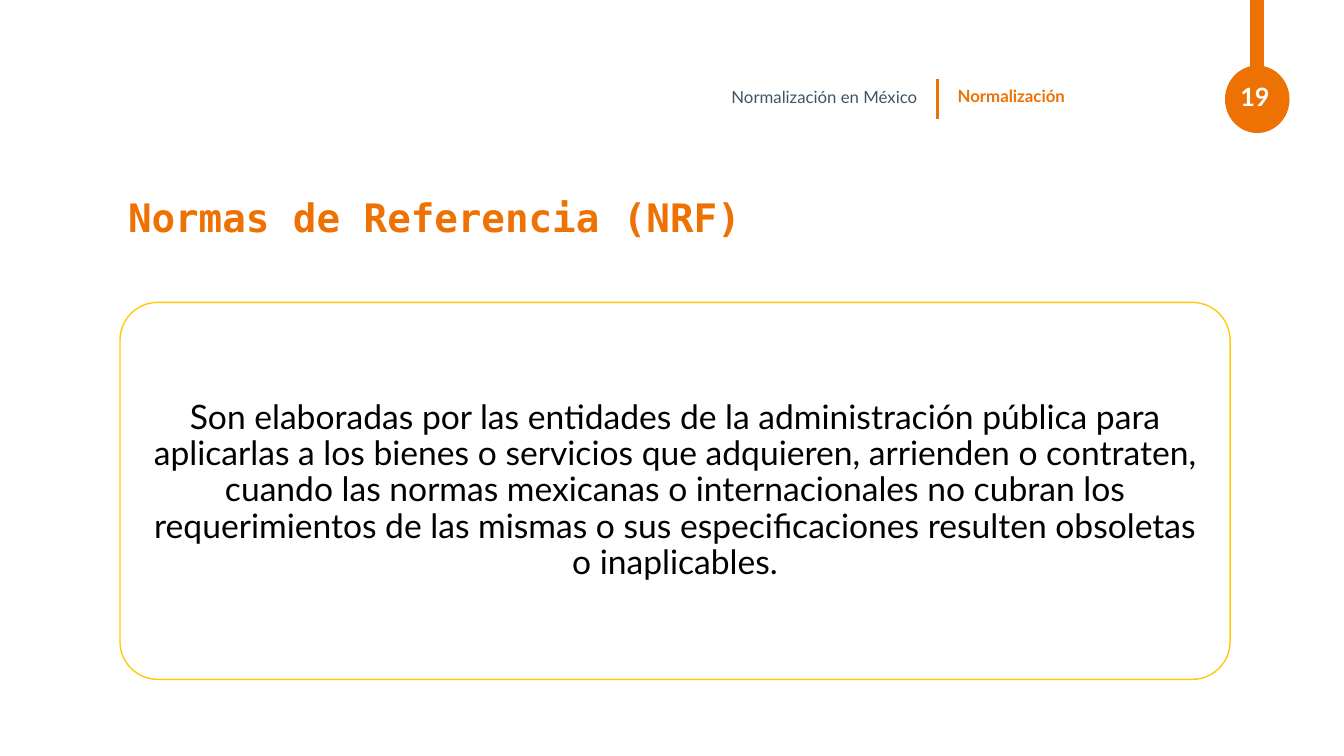
from dataclasses import dataclass

from lxml.etree import SubElement
from pptx import Presentation
from pptx.dml.color import RGBColor
from pptx.enum.shapes import MSO_CONNECTOR, MSO_SHAPE
from pptx.enum.text import MSO_ANCHOR, MSO_AUTO_SIZE, PP_ALIGN
from pptx.oxml.ns import qn
from pptx.util import Inches, Pt

TITLE = "Normas de Referencia (NRF)"
CHAPTER = "Normalización en México"
SECTION = "Normalización"
PAGE_NUMBER = "19"
DEFINITION = (
    "Son elaboradas por las entidades de la administración pública para "
    "aplicarlas a los bienes o servicios que adquieren, arrienden o contraten, "
    "cuando las normas mexicanas o internacionales no cubran los "
    "requerimientos de las mismas o sus especificaciones resulten obsoletas "
    "o inaplicables."
)


@dataclass(frozen=True)
class Theme:
    accent: str = "EE7203"
    border: str = "FFCA08"
    slate: str = "3A5868"
    black: str = "000000"
    white: str = "FFFFFF"
    heading_font: str = "DejaVu Sans Mono"
    text_font: str = "Lato"
    title_size: int = 28
    body_size: int = 24
    number_size: int = 18
    label_size: int = 12


theme = Theme()
WIDTH, HEIGHT = 13.33, 7.5

# Left, top, width, height in inches
BADGE = (12.15, 0.65, 0.64, 0.67)
NUMBER_BOX = (12.15, 0.8, 0.54, 0.32)
TITLE_BOX = (1.17, 1.64, 10.43, 1.08)
CARD = (1.19, 3, 11.01, 3.74)
DIVIDER_X, DIVIDER_TOP, DIVIDER_HEIGHT = 9.3, 0.78, 0.4
LABEL_GAP = 0.1
CHAPTER_BOX = (4.88, 0.78, DIVIDER_X - LABEL_GAP - 4.88, 0.39)
SECTION_BOX = (DIVIDER_X + LABEL_GAP, 0.76, 2.68, 0.39)


def place(shape, box):
    shape.left, shape.top, shape.width, shape.height = map(Inches, box)


def write(shape, text, size, color, font=theme.text_font, bold=False,
          align=PP_ALIGN.LEFT, line_spacing=1.0, space_before=0):
    frame = shape.text_frame
    frame.text = text
    frame.word_wrap = True
    frame.auto_size = MSO_AUTO_SIZE.NONE
    frame.vertical_anchor = MSO_ANCHOR.MIDDLE
    para = frame.paragraphs[0]
    para.alignment = align
    para.line_spacing = line_spacing
    para.space_before = Pt(space_before)
    para.font.name = font
    para.font.size = Pt(size)
    para.font.bold = bold
    para.font.color.rgb = RGBColor.from_string(color)
    return para


def add_filled(page, kind, box, fill):
    shape = page.shapes.add_shape(kind, *map(Inches, box))
    shape.shadow.inherit = False
    shape.fill.solid()
    shape.fill.fore_color.rgb = RGBColor.from_string(fill)
    shape.line.fill.background()
    return shape


def add_vertical(page, x, start, end, weight):
    line = page.shapes.add_connector(
        MSO_CONNECTOR.STRAIGHT, *map(Inches, (x, start, x, end)))
    line.line.color.rgb = RGBColor.from_string(theme.accent)
    line.line.width = Pt(weight)
    SubElement(line._element.spPr, qn("a:effectLst"))


def remove_bullet(para):
    properties = para._p.get_or_add_pPr()
    properties.set("marL", "0")
    properties.set("indent", "0")
    SubElement(properties, qn("a:buNone"))


def add_header(page):
    add_filled(page, MSO_SHAPE.OVAL, BADGE, theme.accent)
    add_vertical(page, BADGE[0] + BADGE[2] / 2, 0.85, 0, 10)
    add_vertical(page, DIVIDER_X, DIVIDER_TOP, DIVIDER_TOP + DIVIDER_HEIGHT, 2.25)

    chapter = page.placeholders[1]
    place(chapter, CHAPTER_BOX)
    remove_bullet(write(chapter, CHAPTER, theme.label_size, theme.slate,
                        align=PP_ALIGN.RIGHT, line_spacing=0.9, space_before=10))

    section = page.shapes.add_textbox(*map(Inches, SECTION_BOX))
    write(section, SECTION, theme.label_size, theme.accent, bold=True)

    number = page.shapes.add_textbox(*map(Inches, NUMBER_BOX))
    write(number, PAGE_NUMBER, theme.number_size, theme.white, bold=True,
          align=PP_ALIGN.RIGHT)


def add_definition(page):
    card = add_filled(page, MSO_SHAPE.ROUNDED_RECTANGLE, CARD, theme.white)
    card.adjustments[0] = 0.1
    card.line.color.rgb = RGBColor.from_string(theme.border)
    card.line.width = Pt(1)
    frame = card.text_frame
    frame.margin_left = frame.margin_right = Inches(0.1)
    frame.margin_top = frame.margin_bottom = Inches(0.1)
    write(card, DEFINITION, theme.body_size, theme.black,
          align=PP_ALIGN.CENTER, line_spacing=0.9)


def main():
    deck = Presentation()
    deck.slide_width, deck.slide_height = Inches(WIDTH), Inches(HEIGHT)
    page = deck.slides.add_slide(deck.slide_layouts[1])
    add_header(page)
    place(page.shapes.title, TITLE_BOX)
    write(page.shapes.title, TITLE, theme.title_size, theme.accent,
          font=theme.heading_font, bold=True, line_spacing=0.9)
    add_definition(page)
    deck.save("out.pptx")


if __name__ == "__main__":
    main()
